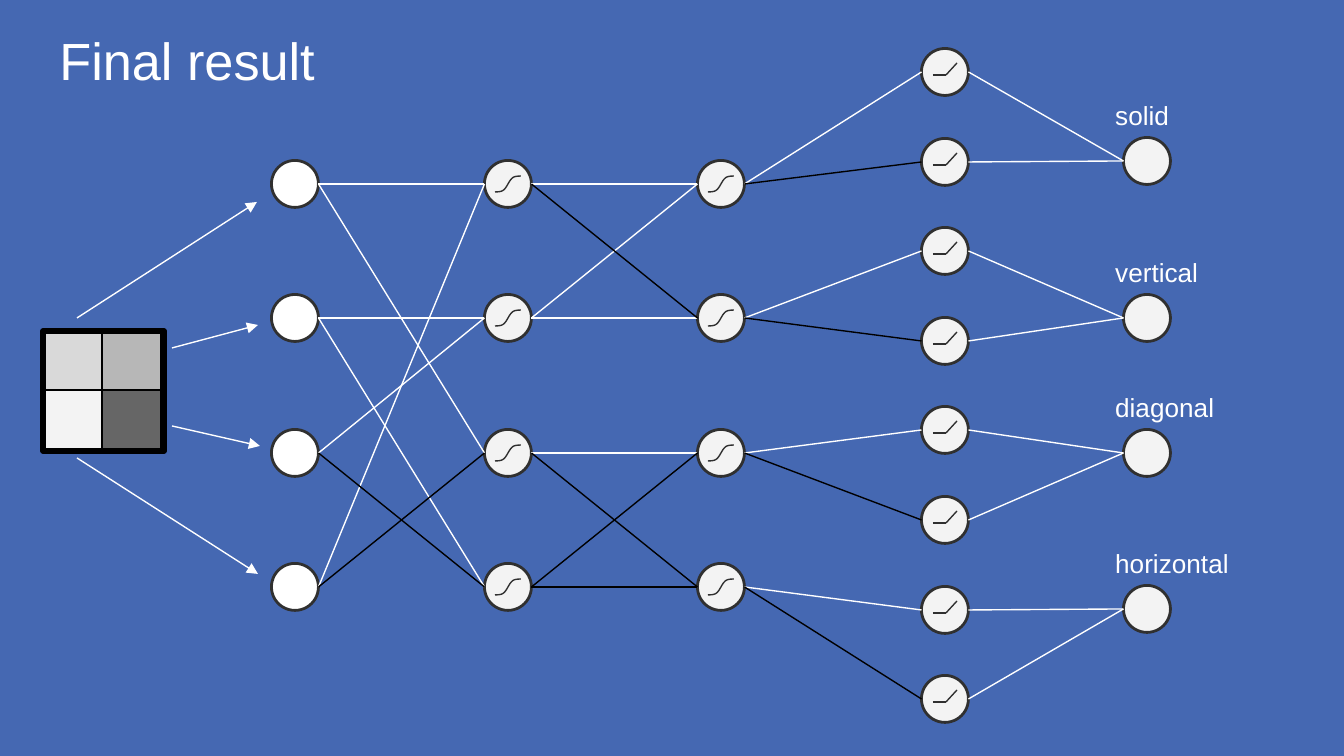
from math import tanh

from lxml.etree import SubElement
from pptx import Presentation
from pptx.dml.color import RGBColor
from pptx.enum.shapes import MSO_CONNECTOR, MSO_SHAPE
from pptx.enum.text import MSO_ANCHOR, MSO_AUTO_SIZE, PP_ALIGN
from pptx.oxml.ns import qn
from pptx.util import Inches, Pt

PX = Inches(10) / 1344
COLORS = {
    "background": "4568B2", "white": "FFFFFF", "black": "000000",
    "outline": "303030", "node": "F3F3F3",
    "light": "D9D9D9", "mid": "B7B7B7", "pale": "F3F3F3", "dark": "666666",
}
NODE = 47
INPUT_X, HIDDEN_X, COMBINED_X, RELU_X, OUTPUT_X = 295, 508, 721, 945, 1147
ROWS = [184, 318, 453, 587]
RELU_ROWS = [round(72 + 89.6 * i) for i in range(8)]
OUTPUTS = [("solid", 161, 121), ("vertical", 318, 121),
           ("diagonal", 453, 153), ("horizontal", 609, 177)]

# (row on the left, row on the right) for each weight
INPUT_WEIGHTS = {
    "white": [(0, 0), (3, 0), (2, 1), (1, 1), (0, 2), (1, 3)],
    "black": [(2, 3), (3, 2)],
}
HIDDEN_WEIGHTS = {
    "white": [(0, 0), (1, 0), (1, 1), (2, 2)],
    "black": [(0, 1), (2, 3), (3, 3), (3, 2)],
}
RELU_WEIGHTS = {
    "white": [(i, 2 * i) for i in range(4)],
    "black": [(i, 2 * i + 1) for i in range(4)],
}
OUTPUT_WEIGHTS = {"white": [(i, i // 2) for i in range(8)]}


def px(n):
    return round(n * PX)


def rgb(name):
    return RGBColor.from_string(COLORS[name])


def add_outlined(shapes, kind, box, fill, line, width):
    sp = shapes.add_shape(kind, *map(px, box))
    sp.shadow.inherit = False
    if fill:
        sp.fill.solid()
        sp.fill.fore_color.rgb = rgb(fill)
    else:
        sp.fill.background()
    sp.line.color.rgb = rgb(line)
    sp.line.width = Pt(width)


def add_line(shapes, start, end, color, arrow=False):
    cxn = shapes.add_connector(MSO_CONNECTOR.STRAIGHT, *map(px, start + end))
    cxn.line.color.rgb = rgb(color)
    cxn.line.width = Pt(0.75)
    if arrow:
        SubElement(cxn.line._get_or_add_ln(), qn("a:tailEnd"), type="triangle")
    SubElement(cxn._element.spPr, qn("a:effectLst"))


def add_nodes(shapes, x, rows, fill="node"):
    for y in rows:
        box = (x - NODE / 2, y - NODE / 2, NODE, NODE)
        add_outlined(shapes, MSO_SHAPE.OVAL, box, fill, "outline", 1.5)


def add_weights(shapes, left_x, left_rows, right_x, right_rows, weights):
    """Join two node columns from right edge to left edge."""
    for color, pairs in weights.items():
        for i, j in pairs:
            add_line(shapes, (left_x + NODE / 2, left_rows[i]),
                     (right_x - NODE / 2, right_rows[j]), color)


def add_sigmoid(shapes, x, y):
    points = [(px(x + dx), px(y - 8 * tanh(dx / 4.5))) for dx in range(-13, 14)]
    builder = shapes.build_freeform(*points[0])
    builder.add_line_segments(points[1:], close=False)
    sp = builder.convert_to_shape()
    sp.shadow.inherit = False
    sp.fill.background()
    sp.line.color.rgb = rgb("outline")
    sp.line.width = Pt(0.75)


def add_relu(shapes, x, y):
    group = shapes.add_group_shape()
    bend = (x + 1, y + 3)
    add_line(group.shapes, (x - 12, y + 3), bend, "outline")
    add_line(group.shapes, bend, (x + 12, y - 9), "outline")


def set_text(sp, text, size):
    tf = sp.text_frame
    tf.word_wrap = True
    tf.auto_size = MSO_AUTO_SIZE.NONE
    tf.vertical_anchor = MSO_ANCHOR.TOP
    tf.margin_left = tf.margin_right = Inches(0.1)
    tf.margin_top = tf.margin_bottom = Inches(0.1)
    p = tf.paragraphs[0]
    p.alignment = PP_ALIGN.LEFT
    p.line_spacing = 1.1
    r = p.add_run()
    r.text = text
    r.font.name = "Arial"
    r.font.size = Pt(size)
    r.font.color.rgb = rgb("white")


def add_title(s, text):
    sp = s.shapes.title
    sp.left, sp.top, sp.width, sp.height = map(px, (46, 9, 1253, 85))
    set_text(sp, text, 28)


def add_input_grid(shapes):
    left, top, cell = 43, 331, 59
    for i, shade in enumerate(["light", "mid", "pale", "dark"]):
        row, col = divmod(i, 2)
        box = (left + col * cell, top + row * cell, cell, cell)
        add_outlined(shapes, MSO_SHAPE.RECTANGLE, box, shade, "black", 0.75)
    add_outlined(shapes, MSO_SHAPE.RECTANGLE, (left, top, 121, 120),
                 None, "black", 3)
    for start, end in [((77, 318), (257, 202)), ((172, 348), (258, 325)),
                       ((172, 426), (260, 446)), ((77, 458), (258, 574))]:
        add_line(shapes, start, end, "white", arrow=True)


def add_network(shapes):
    output_rows = [y for _, y, _ in OUTPUTS]
    add_nodes(shapes, INPUT_X, ROWS, "white")
    add_nodes(shapes, HIDDEN_X, ROWS)
    add_nodes(shapes, COMBINED_X, ROWS)
    add_nodes(shapes, RELU_X, RELU_ROWS)
    add_nodes(shapes, OUTPUT_X, output_rows)

    add_weights(shapes, INPUT_X, ROWS, HIDDEN_X, ROWS, INPUT_WEIGHTS)
    add_weights(shapes, HIDDEN_X, ROWS, COMBINED_X, ROWS, HIDDEN_WEIGHTS)
    add_weights(shapes, COMBINED_X, ROWS, RELU_X, RELU_ROWS, RELU_WEIGHTS)
    add_weights(shapes, RELU_X, RELU_ROWS, OUTPUT_X, output_rows, OUTPUT_WEIGHTS)

    for x in (HIDDEN_X, COMBINED_X):
        for y in ROWS:
            add_sigmoid(shapes, x, y)
    for y in RELU_ROWS:
        add_relu(shapes, RELU_X, y)


def add_output_labels(shapes):
    for text, y, width in OUTPUTS:
        box = shapes.add_textbox(*map(px, (1102, y - 78, width, 66)))
        set_text(box, text, 14)


def main():
    prs = Presentation()
    prs.slide_width, prs.slide_height = px(1344), px(756)
    s = prs.slides.add_slide(prs.slide_layouts[5])
    s.background.fill.solid()
    s.background.fill.fore_color.rgb = rgb("background")
    add_title(s, "Final result")
    add_input_grid(s.shapes)
    add_network(s.shapes)
    add_output_labels(s.shapes)
    prs.save("out.pptx")


if __name__ == "__main__":
    main()
